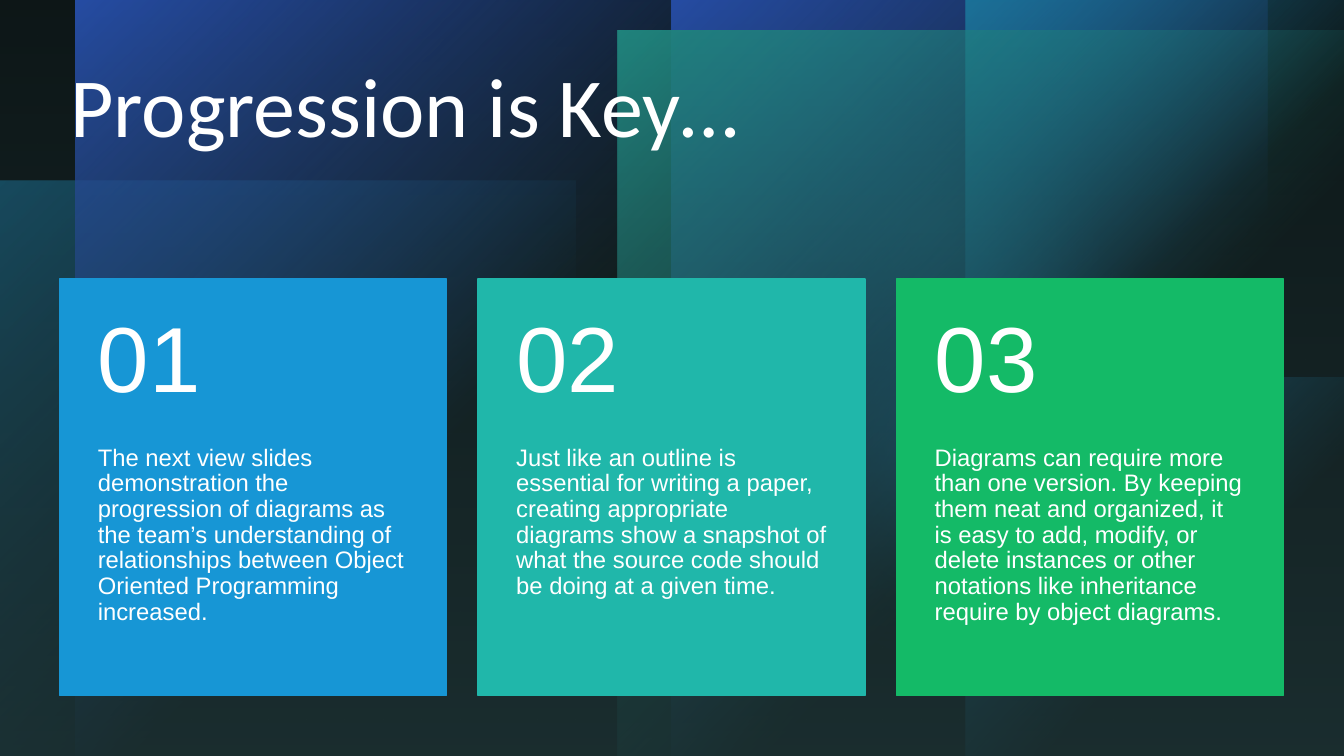
from lxml.etree import SubElement
from pptx import Presentation
from pptx.dml.color import RGBColor
from pptx.enum.shapes import MSO_SHAPE
from pptx.enum.text import MSO_ANCHOR
from pptx.oxml import parse_xml
from pptx.oxml.ns import nsdecls, qn
from pptx.util import Inches, Pt

# Content
TITLE = "Progression is Key…"
CARDS = [
    ("01", "1796D5", "The next view slides demonstration the progression of diagrams as "
     "the team’s understanding of relationships between Object Oriented Programming increased."),
    ("02", "20B7AA", "Just like an outline is essential for writing a paper, creating "
     "appropriate diagrams show a snapshot of what the source code should be doing at a given time."),
    ("03", "14BA67", "Diagrams can require more than one version. By keeping them neat and "
     "organized, it is easy to add, modify, or delete instances or other notations like "
     "inheritance require by object diagrams."),
]

# Backdrop layers, back to front: kind, (left, top, width, height), colour, opacity in percent
BACKDROP = [
    ("corner", (0, 1.79, 5.71, 5.71), "1796D5", 60),
    ("glow", (6.98, 0, 4.72, 4.72), "20B7AA", 96),
    ("glow", (6.69, 1.35, 6.02, 6.02), "1796D5", 60),
    ("corner", (6.66, 0, 5.91, 7.5), "2959E7", 100),
    ("corner", (0.75, 0, 5.91, 7.5), "2959E7", 100),
    ("corner", (9.58, 3.75, 3.75, 3.75), "1796D5", 100),
    ("corner", (9.58, 0, 3.75, 3.75), "1796D5", 100),
    ("corner", (6.13, 0.3, 7.21, 7.21), "20B7AA", 100),
]
WIDTH, HEIGHT = 13.33, 7.5
CARD_LEFT, CARD_TOP, CARD_STEP = 0.59, 2.77, 4.15
CARD_WIDTH, CARD_HEIGHT, NUMBER_HEIGHT = 3.84, 4.13, 1.65
SOFT_RADIUS = Inches(1.39)

# Text formats
TITLE_FONT = {"name": "Calibri", "size": Pt(60)}
NUMBER_FONT = {"name": "Arial", "size": Pt(66)}
BODY_FONT = {"name": "Arial", "size": Pt(17)}


def colour(value):
    return RGBColor.from_string(value)


def add_block(page, kind, area):
    block = page.shapes.add_shape(kind, *map(Inches, area))
    block.shadow.inherit = False
    block.line.fill.background()
    return block


def fill_gradient(block, stops, direction):
    """Stops are (position, colour, opacity), all in percent."""
    marks = "".join(
        f'<a:gs pos="{position * 1000}"><a:srgbClr val="{value}">'
        f'<a:alpha val="{opacity * 1000}"/></a:srgbClr></a:gs>'
        for position, value, opacity in stops)
    gradient = parse_xml(f'<a:gradFill {nsdecls("a")} rotWithShape="1">'
                         f'<a:gsLst>{marks}</a:gsLst>{direction}</a:gradFill>')
    block._element.spPr.find(qn("a:prstGeom")).addnext(gradient)


def add_corner(page, area, value, opacity):
    block = add_block(page, MSO_SHAPE.RECTANGLE, area)
    fill_gradient(block, [(0, value, opacity), (60, value, 0), (100, value, 0)],
                  '<a:path path="circle"><a:fillToRect r="100000" b="100000"/></a:path>')


def add_glow(page, area, value, opacity):
    block = add_block(page, MSO_SHAPE.OVAL, area)
    block.fill.solid()
    block.fill.fore_color.rgb = colour(value)
    properties = block._element.spPr
    tint = properties.find(qn("a:solidFill")).find(qn("a:srgbClr"))
    SubElement(tint, qn("a:alpha"), val=str(opacity * 1000))
    SubElement(properties.find(qn("a:effectLst")), qn("a:softEdge"), rad=str(SOFT_RADIUS))


def add_text(page, area, text, font, insets, anchor=MSO_ANCHOR.TOP):
    box = page.shapes.add_textbox(*map(Inches, area))
    frame = box.text_frame
    frame.word_wrap = True
    frame.vertical_anchor = anchor
    for side, inset in zip(("left", "top", "right", "bottom"), insets):
        setattr(frame, f"margin_{side}", Inches(inset))
    para = frame.paragraphs[0]
    para.line_spacing = 0.9
    span = para.add_run()
    span.text = text
    for name, value in font.items():
        setattr(span.font, name, value)
    span.font.color.rgb = colour("FFFFFF")


def add_card(page, left, number, value, text):
    block = add_block(page, MSO_SHAPE.RECTANGLE, (left, CARD_TOP, CARD_WIDTH, CARD_HEIGHT))
    block.fill.solid()
    block.fill.fore_color.rgb = colour(value)
    block.line.color.rgb = colour(value)
    block.line.width = Pt(1)
    add_text(page, (left, CARD_TOP + NUMBER_HEIGHT, CARD_WIDTH, CARD_HEIGHT - NUMBER_HEIGHT),
             text, BODY_FONT, (0.38, 0, 0.38, 0.36))
    add_text(page, (left, CARD_TOP, CARD_WIDTH, NUMBER_HEIGHT),
             number, NUMBER_FONT, (0.38, 0.18, 0.38, 0.18), MSO_ANCHOR.MIDDLE)


def main():
    deck = Presentation()
    deck.slide_width, deck.slide_height = Inches(WIDTH), Inches(HEIGHT)
    page = deck.slides.add_slide(deck.slide_layouts[6])
    page.background.fill.solid()
    page.background.fill.fore_color.rgb = colour("000000")

    # Backdrop, dimmed by a veil
    painters = {"corner": add_corner, "glow": add_glow}
    for kind, area, value, opacity in BACKDROP:
        painters[kind](page, area, value, opacity)
    veil = add_block(page, MSO_SHAPE.RECTANGLE, (0, 0, WIDTH, HEIGHT))
    fill_gradient(veil, [(0, "223A3C", 40), (100, "223A3C", 80)],
                  '<a:lin ang="5400000" scaled="0"/>')

    # Title and cards
    add_text(page, (0.6, 0.59, 12.11, 1.98), TITLE, TITLE_FONT, (0.1, 0.05, 0.1, 0.05))
    for index, (number, value, text) in enumerate(CARDS):
        add_card(page, CARD_LEFT + index * CARD_STEP, number, value, text)
    deck.save("out.pptx")


if __name__ == "__main__":
    main()
